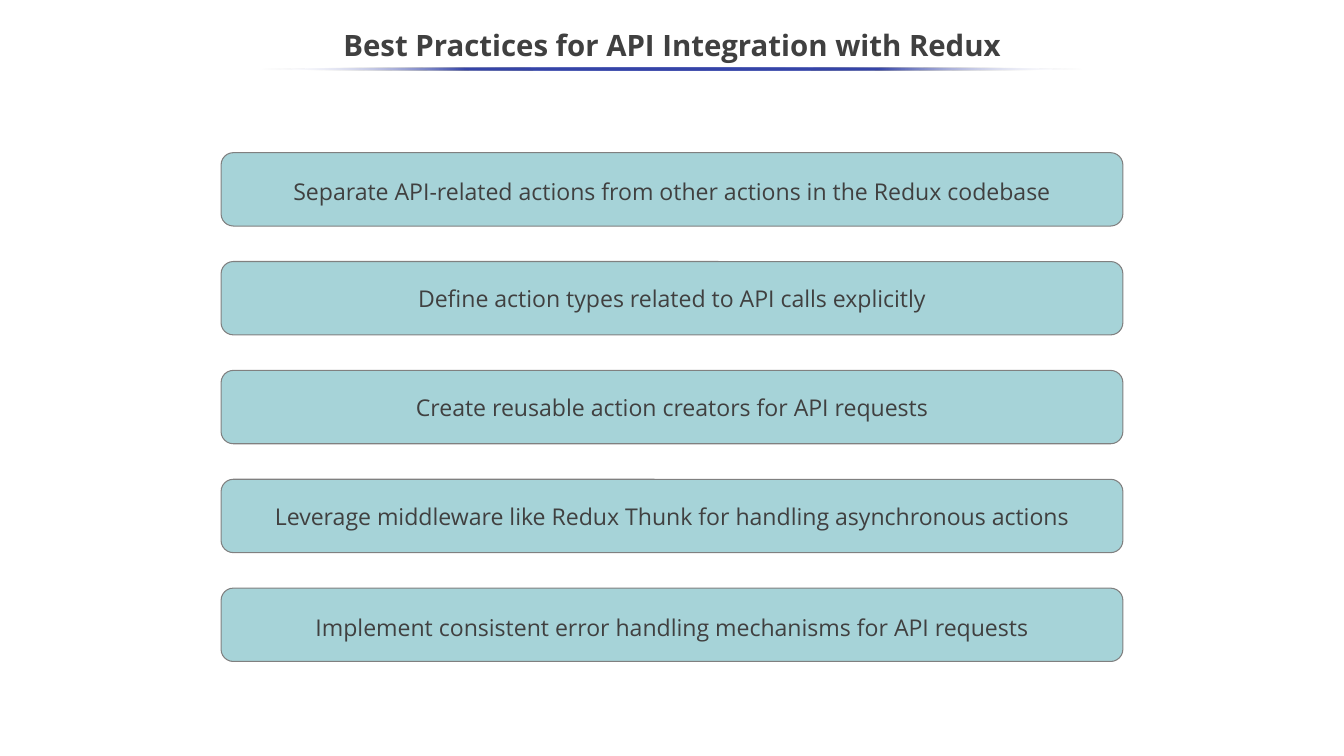
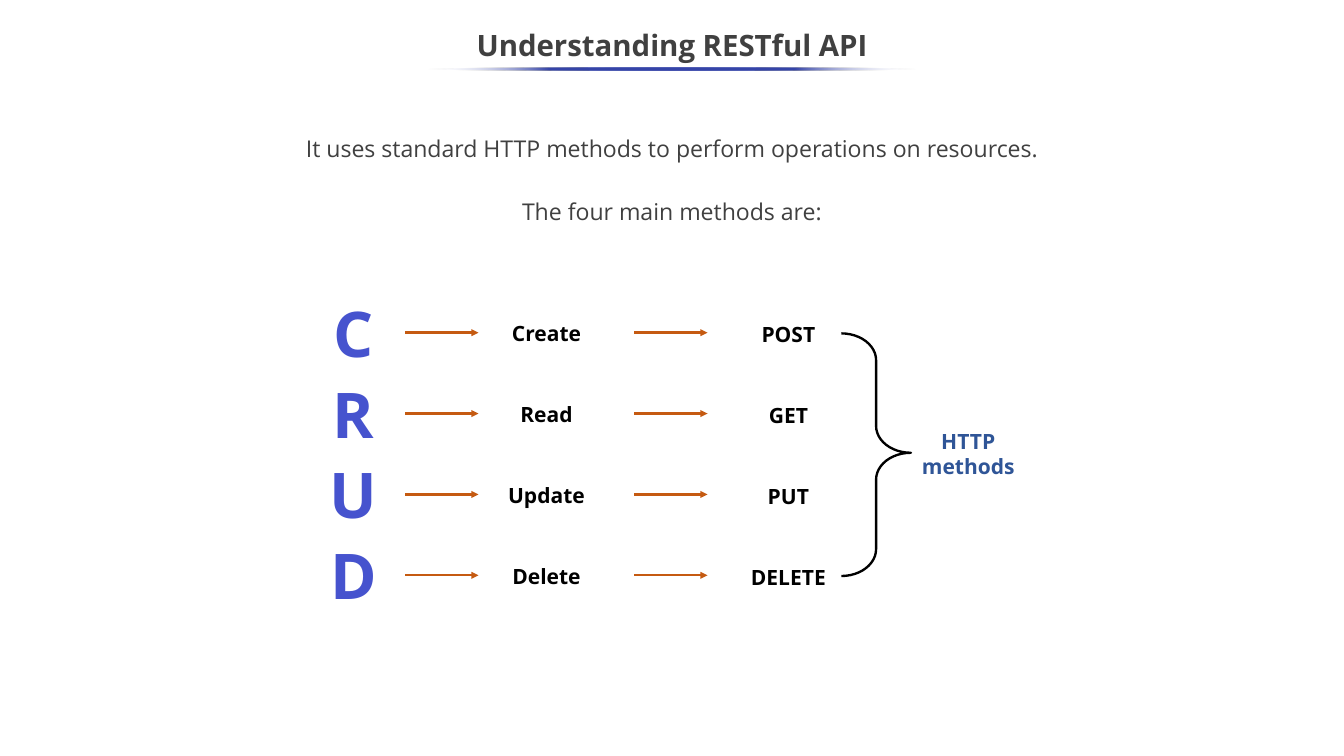
"""Build two slides on API practice: Redux guidelines and the CRUD methods."""
from dataclasses import dataclass

from lxml import etree
from pptx import Presentation
from pptx import util as u
from pptx.dml.color import RGBColor
from pptx.enum import shapes, text
from pptx.oxml import parse_xml
from pptx.oxml.ns import nsdecls, qn

PRACTICES = {
    "title": "Best Practices for API Integration with Redux",
    "rule_width": 10.88,
    "bars": [
        ("Separate API-related actions from other actions in the Redux codebase", 1.15),
        ("Define action types related to API calls explicitly", 1.0),
        ("Create reusable action creators for API requests", 1.0),
        ("Leverage middleware like Redux Thunk for handling asynchronous actions", 1.0),
        ("Implement consistent error handling mechanisms for API requests", 1.15),
    ],
}
RESTFUL = {
    "title": "Understanding RESTful API",
    "rule_width": 6.47,
    "intro": ["It uses standard HTTP methods to perform operations on resources.",
              "The four main methods are:"],
    "crud": [("C", "Create", "POST"), ("R", "Read", "GET"),
             ("U", "Update", "PUT"), ("D", "Delete", "DELETE")],
    "summary": ["HTTP", "methods"],
}


@dataclass(frozen=True)
class Theme:
    """Colours, font and type sizes shared by the slides."""
    font: str = "Open Sans"
    ink: str = "404040"
    rule: str = "3645A9"
    bar: str = "A6D3D8"
    bar_line: str = "808080"
    letter: str = "4653CE"
    arrow: str = "C55A11"
    summary: str = "2F5597"
    black: str = "000000"
    white: str = "FFFFFF"
    title_size: int = 28
    body_size: int = 22
    label_size: int = 20
    letter_size: int = 60


T = Theme()
W, H = 17.78, 10
MID = W / 2


def rgb(value):
    """Turn a hex string into a colour."""
    return RGBColor.from_string(value)


def box(left, top, width, height):
    """Convert inches to a placement."""
    return [u.Inches(v) for v in (left, top, width, height)]


def write(tf, lines, size, color, bold=False, spacing=1.0, gap=0):
    """Fill a text frame with centred, formatted paragraphs."""
    tf.text = "\n".join(lines)
    for i, p in enumerate(tf.paragraphs):
        p.alignment = text.PP_ALIGN.CENTER
        p.line_spacing = spacing
        p.space_before = u.Pt(gap if i else 0)
        for r in p.runs:
            r.font.name, r.font.size, r.font.bold = T.font, u.Pt(size), bold
            r.font.color.rgb = rgb(color)


def add_shape(slide, kind, place, line=None, width=1):
    """Add a shadowless, unfilled preset shape."""
    s = slide.shapes.add_shape(kind, *box(*place))
    s.shadow.inherit = False
    s.fill.background()
    if line:
        s.line.color.rgb, s.line.width = rgb(line), u.Pt(width)
    else:
        s.line.fill.background()
    return s


def add_label(slide, lines, cx, cy, width, height, size, color):
    """Add a bold, unwrapped label centred on a point."""
    s = slide.shapes.add_textbox(*box(cx - width / 2, cy - height / 2, width, height))
    s.text_frame.word_wrap = False
    s.text_frame.vertical_anchor = text.MSO_ANCHOR.MIDDLE
    write(s.text_frame, lines, size, color, bold=True)


def add_arrow(slide, left, y, length):
    """Add a horizontal arrow."""
    ends = [u.Inches(v) for v in (left, y, left + length, y)]
    c = slide.shapes.add_connector(shapes.MSO_CONNECTOR.STRAIGHT, *ends)
    c.line.color.rgb, c.line.width = rgb(T.arrow), u.Pt(2.25)
    etree.SubElement(c.line._get_or_add_ln(), qn("a:tailEnd"), type="triangle")
    etree.SubElement(c._element.spPr, qn("a:effectLst"))


def add_slide(prs, content):
    """Add a slide with the shared title and its fading rule."""
    slide = prs.slides.add_slide(prs.slide_layouts[5])
    title = slide.shapes.title
    title.left, title.top, title.width, title.height = box(0, 0.25, W, 0.75)
    title.text_frame.vertical_anchor = text.MSO_ANCHOR.MIDDLE
    write(title.text_frame, [content["title"]], T.title_size, T.ink, True, 0.9)

    width = content["rule_width"]
    rule = add_shape(slide, shapes.MSO_SHAPE.OVAL, (MID - width / 2, 0.89, width, 0.04))
    stops = [(0, T.white, 0), (25, T.rule, 100), (75, T.rule, 100), (100, T.white, 0)]
    marks = "".join(
        f'<a:gs pos="{pos * 1000}"><a:srgbClr val="{color}">'
        f'<a:alpha val="{alpha * 1000}"/></a:srgbClr></a:gs>'
        for pos, color, alpha in stops)
    rule.fill.gradient()
    rule.fill.gradient_angle = 180
    old = rule._element.spPr.find(".//" + qn("a:gsLst"))
    old.getparent().replace(old, parse_xml(f'<a:gsLst {nsdecls("a")}>{marks}</a:gsLst>'))
    return slide


def build_practices(prs):
    """Stack the practices as equal bars."""
    slide = add_slide(prs, PRACTICES)
    width, height, top, pitch = 11.93, 0.97, 2.02, 1.44
    for row, (line, spacing) in enumerate(PRACTICES["bars"]):
        place = (MID - width / 2, top + row * pitch, width, height)
        bar = add_shape(slide, shapes.MSO_SHAPE.ROUNDED_RECTANGLE, place, T.bar_line)
        bar.fill.solid()
        bar.fill.fore_color.rgb = rgb(T.bar)
        bar.text_frame.vertical_anchor = text.MSO_ANCHOR.MIDDLE
        write(bar.text_frame, [line], T.body_size, T.ink, spacing=spacing)


def build_restful(prs):
    """Lay out the CRUD grid, its arrows and the closing brace."""
    slide = add_slide(prs, RESTFUL)
    intro = slide.shapes.add_textbox(*box(MID - 6.37, 1.67, 12.74, 1.35))
    intro.text_frame.word_wrap = True
    write(intro.text_frame, RESTFUL["intro"], T.body_size, T.ink, spacing=1.15, gap=30)

    top, pitch = 4.4, 1.07
    columns = [(4.68, -0.01, 0.9, 1.11, T.letter_size, T.letter),
               (7.23, 0.01, 1.3, 0.44, T.label_size, T.black),
               (10.43, 0.02, 1.3, 0.44, T.label_size, T.black)]
    for row, labels in enumerate(RESTFUL["crud"]):
        y = top + row * pitch
        for left in (5.36, 8.39):
            add_arrow(slide, left, y, 0.97)
        for label, (cx, drop, *style) in zip(labels, columns):
            add_label(slide, [label], cx, y + drop, *style)

    span = pitch * (len(RESTFUL["crud"]) - 1)
    brace = add_shape(slide, shapes.MSO_SHAPE.RIGHT_BRACE,
                      (11.13, top + 0.01, 0.92, span), T.black, 2.25)
    brace.adjustments[0], brace.adjustments[1] = 0.386, 0.492
    add_label(slide, RESTFUL["summary"], 12.81, top + span / 2, 1.5, 0.77,
              T.label_size, T.summary)


def main():
    """Create and save the presentation."""
    prs = Presentation()
    prs.slide_width, prs.slide_height = u.Inches(W), u.Inches(H)
    build_practices(prs)
    build_restful(prs)
    prs.save("out.pptx")


if __name__ == "__main__":
    main()
